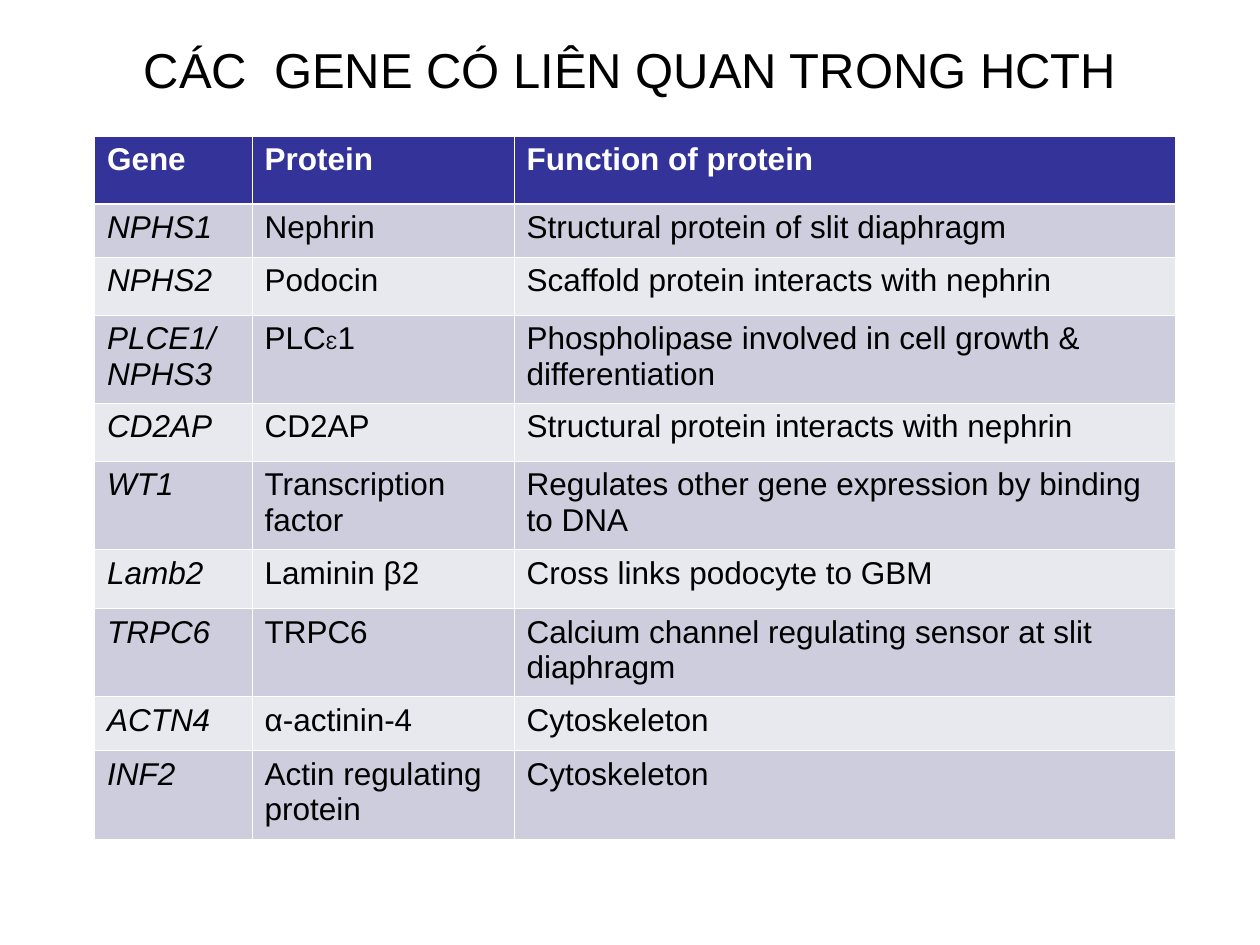
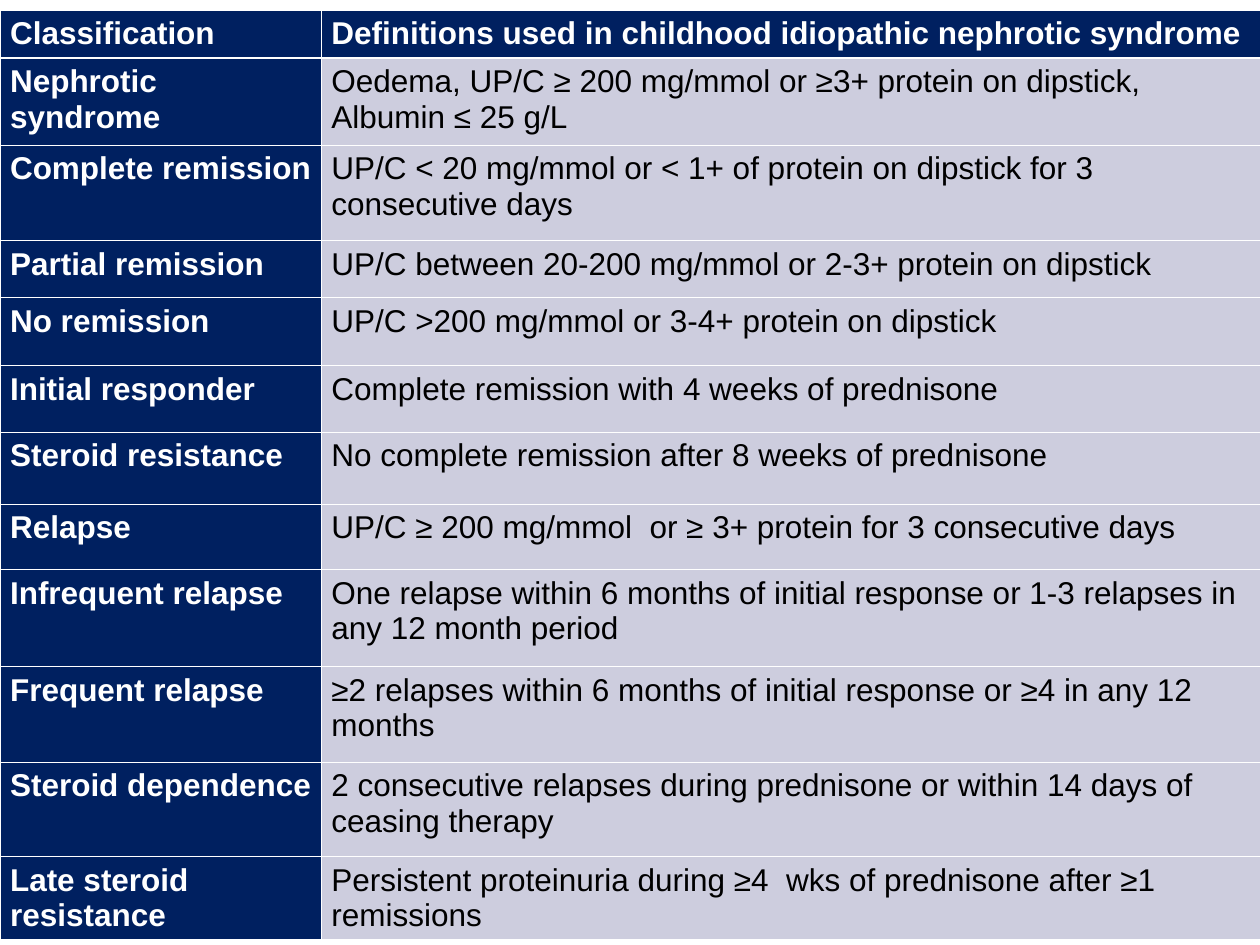
from lxml import etree
from pptx import Presentation
from pptx.dml.color import RGBColor
from pptx.enum import text
from pptx.oxml.ns import qn
from pptx.util import Inches, Pt

FONT = "Arial"
WHITE = RGBColor(0xFF, 0xFF, 0xFF)
BLACK = RGBColor(0x00, 0x00, 0x00)
INDIGO = RGBColor(0x33, 0x33, 0x99)
NAVY = RGBColor(0x00, 0x20, 0x60)
LILAC = RGBColor(0xCD, 0xCD, 0xDE)
PALE = RGBColor(0xE8, 0xE8, 0xEF)
THIN, THICK = Pt(0.45), Pt(1.47)


def set_borders(cell, row):
    """White rules, thicker between the header and the first body row."""
    tc_pr = cell._tc.get_or_add_tcPr()
    widths = {
        "a:lnL": THIN,
        "a:lnR": THIN,
        "a:lnT": THICK if row == 1 else THIN,
        "a:lnB": THICK if row == 0 else THIN,
    }
    for tag, width in widths.items():
        ln = etree.SubElement(tc_pr, qn(tag), w=str(int(width)))
        fill = etree.SubElement(ln, qn("a:solidFill"))
        etree.SubElement(fill, qn("a:srgbClr"), val=str(WHITE))


def add_grid(s, left, top, widths, heights, rows, inset, head, bands, label_column):
    """Table with a coloured header, banded body and optional label column."""
    frame = s.shapes.add_table(len(rows), len(widths), Inches(left), Inches(top),
                               Inches(sum(widths)), Inches(sum(heights)))
    table = frame.table
    for column, width in zip(table.columns, widths):
        column.width = Inches(width)
    for i, (row, height) in enumerate(zip(rows, heights)):
        table.rows[i].height = Inches(height)
        for j, words in enumerate(row):
            cell = table.cell(i, j)
            strong = i == 0 or (label_column and j == 0)
            set_borders(cell, i)
            cell.fill.solid()
            cell.fill.fore_color.rgb = head if strong else bands[(i - 1) % len(bands)]
            cell.margin_left = cell.margin_right = Inches(inset)
            cell.margin_top = cell.margin_bottom = Inches(0.05)
            p = cell.text_frame.paragraphs[0]
            p.font.name = FONT
            p.font.size = Pt(18)
            p.font.bold = strong
            p.font.color.rgb = WHITE if strong else BLACK
            # A tuple holds separate runs
            for part in words if isinstance(words, tuple) else (words,):
                r = p.add_run()
                r.text = part
    return table


prs = Presentation()
prs.slide_width, prs.slide_height = Inches(10), Inches(7.5)
TITLE_ONLY, BLANK = prs.slide_layouts[5], prs.slide_layouts[6]

# Slide 1: genes
s = prs.slides.add_slide(TITLE_ONLY)
title = s.shapes.title
title.left, title.top = Inches(0.75), Inches(0.17)
title.width, title.height = Inches(8.5), Inches(0.75)
tf = title.text_frame
tf.text = "CÁC  GENE CÓ LIÊN QUAN TRONG HCTH"
tf.vertical_anchor = text.MSO_ANCHOR.MIDDLE
p = tf.paragraphs[0]
p.alignment = text.PP_ALIGN.CENTER
p.font.name = FONT
p.font.size = Pt(28)
p.font.color.rgb = BLACK

genes = [
    ("Gene", "Protein", "Function of protein"),
    ("NPHS1", "Nephrin", "Structural protein of slit diaphragm"),
    ("NPHS2", "Podocin", "Scaffold protein interacts with nephrin"),
    ("PLCE1/ NPHS3", ("PLC", "Ɛ", "1"),
     "Phospholipase involved in cell growth & differentiation"),
    ("CD2AP", "CD2AP", "Structural protein interacts with nephrin"),
    ("WT1", "Transcription factor",
     "Regulates other gene expression by binding to DNA"),
    ("Lamb2", "Laminin β2", "Cross links podocyte to GBM"),
    ("TRPC6", "TRPC6", "Calcium channel regulating sensor at slit diaphragm"),
    ("ACTN4", "α-actinin-4", "Cytoskeleton"),
    ("INF2", "Actin regulating protein", "Cytoskeleton"),
]
gene_heights = [0.54, 0.42, 0.46, 0.7, 0.46, 0.7, 0.47, 0.7, 0.43, 0.7]
table = add_grid(s, 0.75, 1.08, [1.25, 2.08, 5.25], gene_heights, genes,
                 inset=0.1, head=INDIGO, bands=[LILAC, PALE], label_column=False)
for i in range(1, len(genes)):
    table.cell(i, 0).text_frame.paragraphs[0].font.italic = True
epsilon = table.cell(3, 1).text_frame.paragraphs[0].runs[1]
epsilon.font.size = Pt(11)

# Slide 2: definitions
s = prs.slides.add_slide(BLANK)
definitions = [
    ("Classification", "Definitions used in childhood idiopathic nephrotic syndrome"),
    ("Nephrotic syndrome",
     "Oedema, UP/C ≥ 200 mg/mmol or ≥3+ protein on dipstick, Albumin ≤ 25 g/L"),
    ("Complete remission",
     "UP/C < 20 mg/mmol or < 1+ of protein on dipstick for 3 consecutive days"),
    ("Partial remission", "UP/C between 20-200 mg/mmol or 2-3+ protein on dipstick"),
    ("No remission", "UP/C >200 mg/mmol or 3-4+ protein on dipstick"),
    ("Initial responder", "Complete remission with 4 weeks of prednisone"),
    ("Steroid resistance", "No complete remission after 8 weeks of prednisone"),
    ("Relapse", "UP/C ≥ 200 mg/mmol  or ≥ 3+ protein for 3 consecutive days"),
    ("Infrequent relapse",
     "One relapse within 6 months of initial response or 1-3 relapses in any 12 month period"),
    ("Frequent relapse",
     "≥2 relapses within 6 months of initial response or ≥4 in any 12 months"),
    ("Steroid dependence",
     "2 consecutive relapses during prednisone or within 14 days of ceasing therapy"),
    ("Late steroid resistance",
     "Persistent proteinuria during ≥4  wks of prednisone after ≥1 remissions"),
]
definition_heights = [0.33, 0.69, 0.76, 0.45, 0.54, 0.53,
                      0.57, 0.52, 0.77, 0.76, 0.75, 0.65]
table = add_grid(s, 0, 0.08, [2.55, 7.45], definition_heights, definitions,
                 inset=0.08, head=NAVY, bands=[LILAC], label_column=True)
for cell in table.rows[0].cells:
    p = cell.text_frame.paragraphs[0]
    p.space_before = p.space_after = Pt(6)

prs.save("out.pptx")
